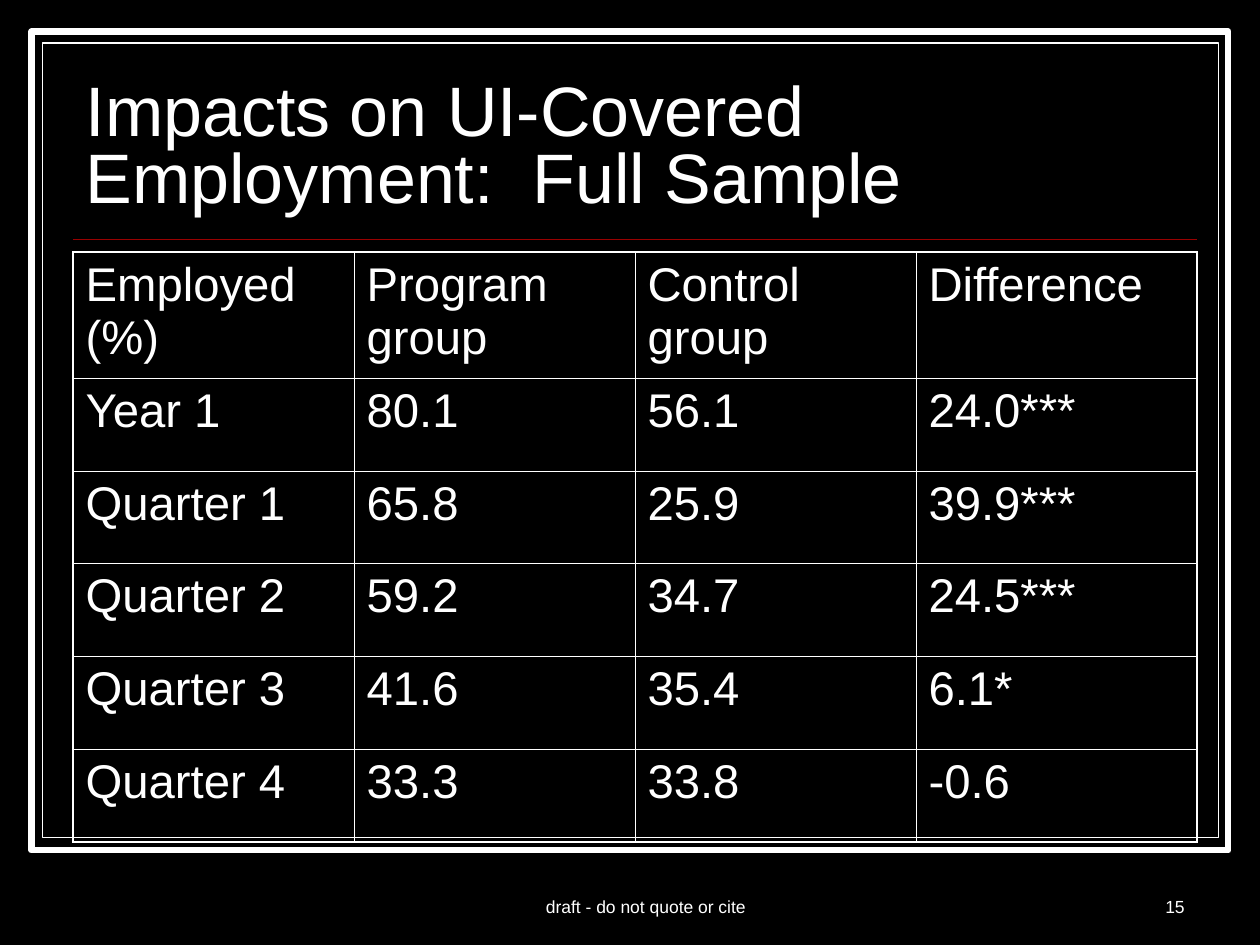
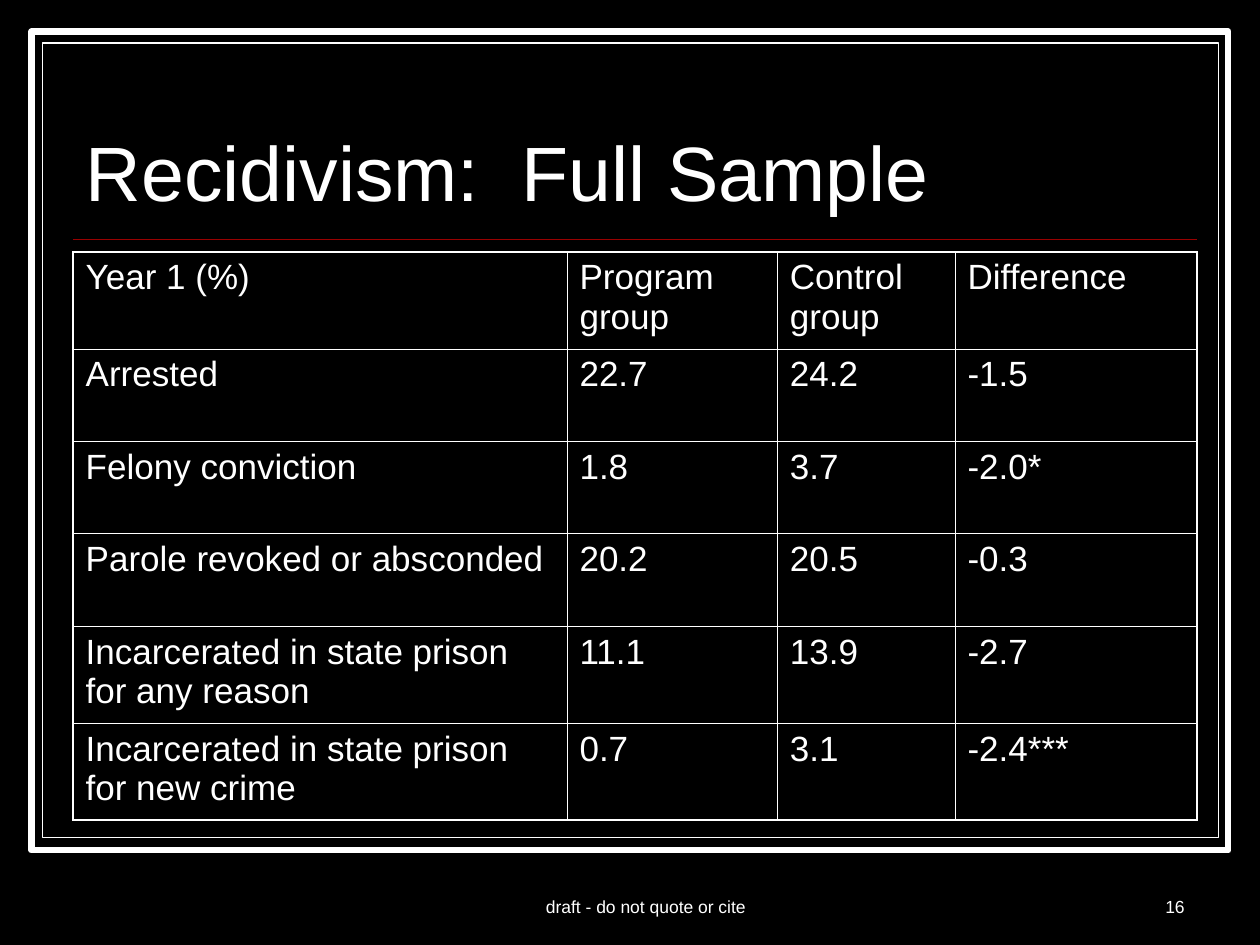
"""Build two slides of study results, each a framed title and table."""
from lxml import etree
from pptx import Presentation
from pptx.dml.color import RGBColor
from pptx.enum.shapes import MSO_CONNECTOR as Link, MSO_SHAPE as Shape
from pptx.enum.text import MSO_ANCHOR as Anchor, MSO_AUTO_SIZE as Fit, PP_ALIGN as Align
from pptx.oxml.ns import qn
from pptx.util import Inches, Pt

BLACK = RGBColor(0x00, 0x00, 0x00)
WHITE = RGBColor(0xFF, 0xFF, 0xFF)
RED = RGBColor(0x99, 0x00, 0x00)
FONT = "Arial"
LEFT, WIDTH = 0.58, 8.92
THIN, THICK = 0.45, 1.08

JOBS = [
    ["Employed (%)", "Program group", "Control group", "Difference"],
    ["Year 1", "80.1", "56.1", "24.0***"],
    ["Quarter 1", "65.8", "25.9", "39.9***"],
    ["Quarter 2", "59.2", "34.7", "24.5***"],
    ["Quarter 3", "41.6", "35.4", "6.1*"],
    ["Quarter 4", "33.3", "33.8", "-0.6"],
]
CRIME = [
    ["Year 1 (%)", "Program group", "Control group", "Difference"],
    ["Arrested", "22.7", "24.2", "-1.5"],
    ["Felony conviction", "1.8", "3.7", "-2.0*"],
    ["Parole revoked or absconded", "20.2", "20.5", "-0.3"],
    ["Incarcerated in state prison for any reason", "11.1", "13.9", "-2.7"],
    ["Incarcerated in state prison for new crime", "0.7", "3.1", "-2.4***"],
]


def write(frame, text, size, align=Align.LEFT, anchor=Anchor.BOTTOM, lead=None):
    """Put one formatted paragraph in a text frame."""
    frame.word_wrap = True
    frame.vertical_anchor = anchor
    para = frame.paragraphs[0]
    para.alignment = align
    para.line_spacing = lead
    run = para.add_run()
    run.text = text
    run.font.name = FONT
    run.font.size = Pt(size)
    run.font.color.rgb = WHITE


def edge(cell, side, width):
    """Draw one border of a table cell."""
    line = etree.SubElement(cell._tc.get_or_add_tcPr(), qn(f"a:ln{side}"), w=str(Pt(width)))
    fill = etree.SubElement(line, qn("a:solidFill"))
    etree.SubElement(fill, qn("a:srgbClr"), val=str(WHITE))


class Deck:
    """Hold the shared style and the current slide."""

    def __init__(self):
        """Start an empty deck."""
        self.prs = Presentation()
        self.prs.slide_width = Inches(10)
        self.prs.slide_height = Inches(7.5)

    def start(self, title, size, number):
        """Add a slide with its frame, title and footer."""
        self.slide = self.prs.slides.add_slide(self.prs.slide_layouts[5])
        self.shapes = self.slide.shapes
        back = self.slide.background.fill
        back.solid()
        back.fore_color.rgb = BLACK
        self.frame(0.25, 9.5, 6.5, 3.5)
        self.frame(0.34, 9.33, 6.31, 0.75)
        self.rule(1.9)
        self.title(title, size)
        self.note("draft - do not quote or cite", 3.54, 3.17, Align.CENTER)
        self.note(str(number), 7.42, 2.08, Align.RIGHT)

    def frame(self, inset, width, height, line):
        """Add one outline of the double frame."""
        box = self.shapes.add_shape(
            Shape.RECTANGLE, Inches(inset), Inches(inset), Inches(width), Inches(height))
        box.shadow.inherit = False
        box.fill.solid()
        box.fill.fore_color.rgb = BLACK
        box.line.color.rgb = WHITE
        box.line.width = Pt(line)

    def rule(self, top):
        """Add the line below the title."""
        line = self.shapes.add_connector(
            Link.STRAIGHT, Inches(LEFT), Inches(top), Inches(LEFT + WIDTH), Inches(top))
        line.line.color.rgb = RED
        line.line.width = Pt(1)
        etree.SubElement(line._element.spPr, qn("a:effectLst"))

    def title(self, text, size):
        """Place the title in front of the frame."""
        head = self.shapes.title
        head.left, head.top = Inches(LEFT), Inches(0.52)
        head.width, head.height = Inches(WIDTH), Inches(1.25)
        head.text_frame.auto_size = Fit.NONE
        write(head.text_frame, text, size, lead=0.8)
        self.shapes._spTree.append(head._element)

    def note(self, text, left, width, align):
        """Add a footer text."""
        box = self.shapes.add_textbox(Inches(left), Inches(6.83), Inches(width), Inches(0.5))
        write(box.text_frame, text, 10, align=align)

    def table(self, rows, widths, heights, size):
        """Add a table with thin inner and thick outer borders."""
        part = self.shapes.add_table(
            len(rows), len(widths), Inches(LEFT), Inches(2), Inches(WIDTH), Inches(sum(heights)))
        grid = part.table
        grid.first_row = grid.horz_banding = False
        for col, width in zip(grid.columns, widths):
            col.width = Inches(width)
        for row, height in zip(grid.rows, heights):
            row.height = Inches(height)
        end, last = len(widths) - 1, len(rows) - 1
        for y, row in enumerate(rows):
            for x, text in enumerate(row):
                cell = grid.cell(y, x)
                outer = {"L": x == 0, "R": x == end, "T": y == 0, "B": y == last}
                for side, thick in outer.items():
                    edge(cell, side, THICK if thick else THIN)
                cell.fill.background()
                cell.margin_left = cell.margin_right = Inches(0.1)
                cell.margin_top = cell.margin_bottom = Inches(0.05)
                cell.vertical_anchor = Anchor.TOP
                write(cell.text_frame, text, size, anchor=Anchor.TOP)


def main():
    """Build and save the deck."""
    deck = Deck()
    deck.start("Impacts on UI-Covered Employment:  Full Sample", 40, 15)
    deck.table(JOBS, [WIDTH / 4] * 4, [1] + [3.68 / 5] * 5, 27)
    deck.start("Recidivism:  Full Sample", 44, 16)
    tall, short = 0.77, 2.2 / 3
    deck.table(CRIME, [3.92, 1.67, 1.41, 1.92], [tall] + [short] * 3 + [tall] * 2, 20)
    deck.prs.save("out.pptx")


if __name__ == "__main__":
    main()
